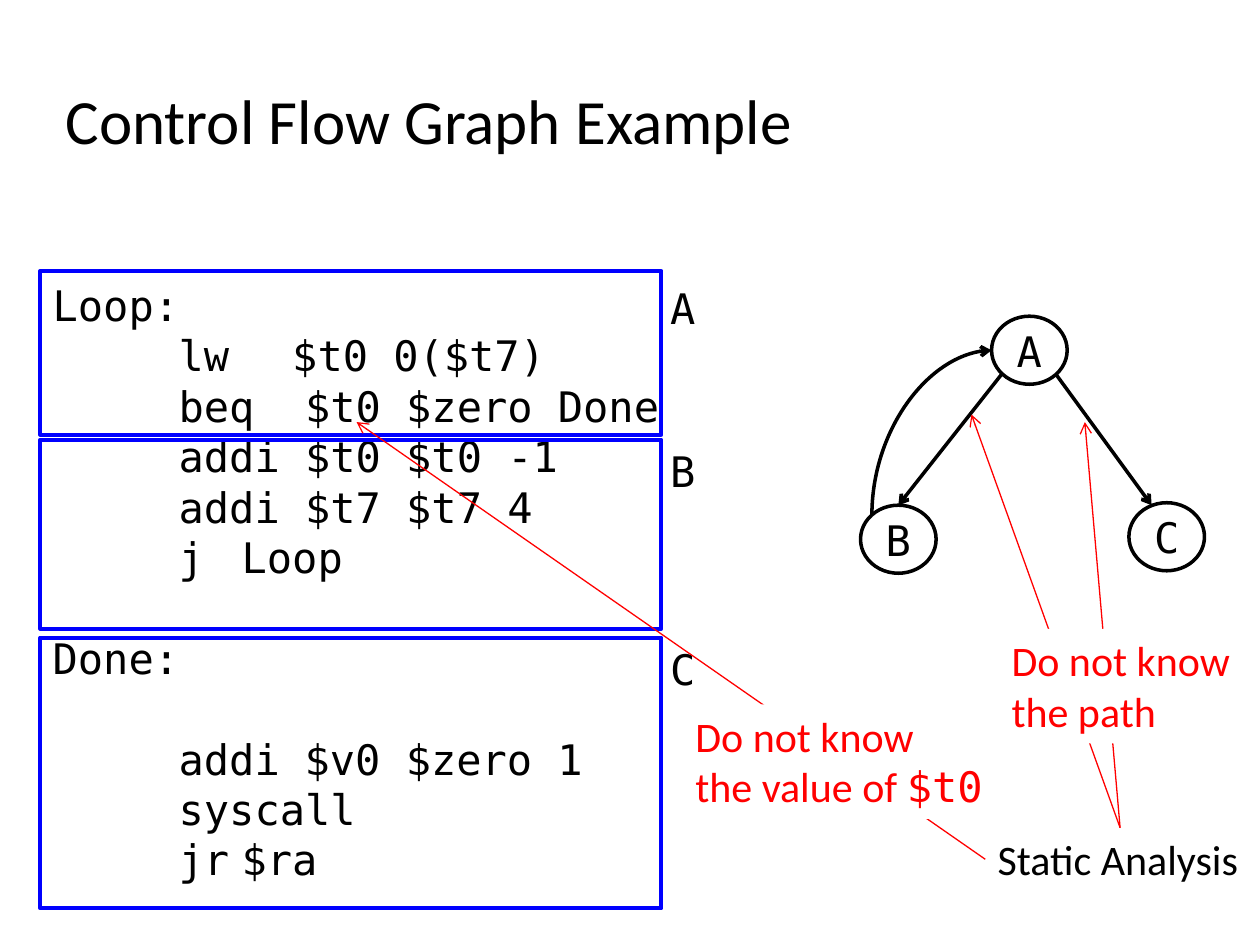
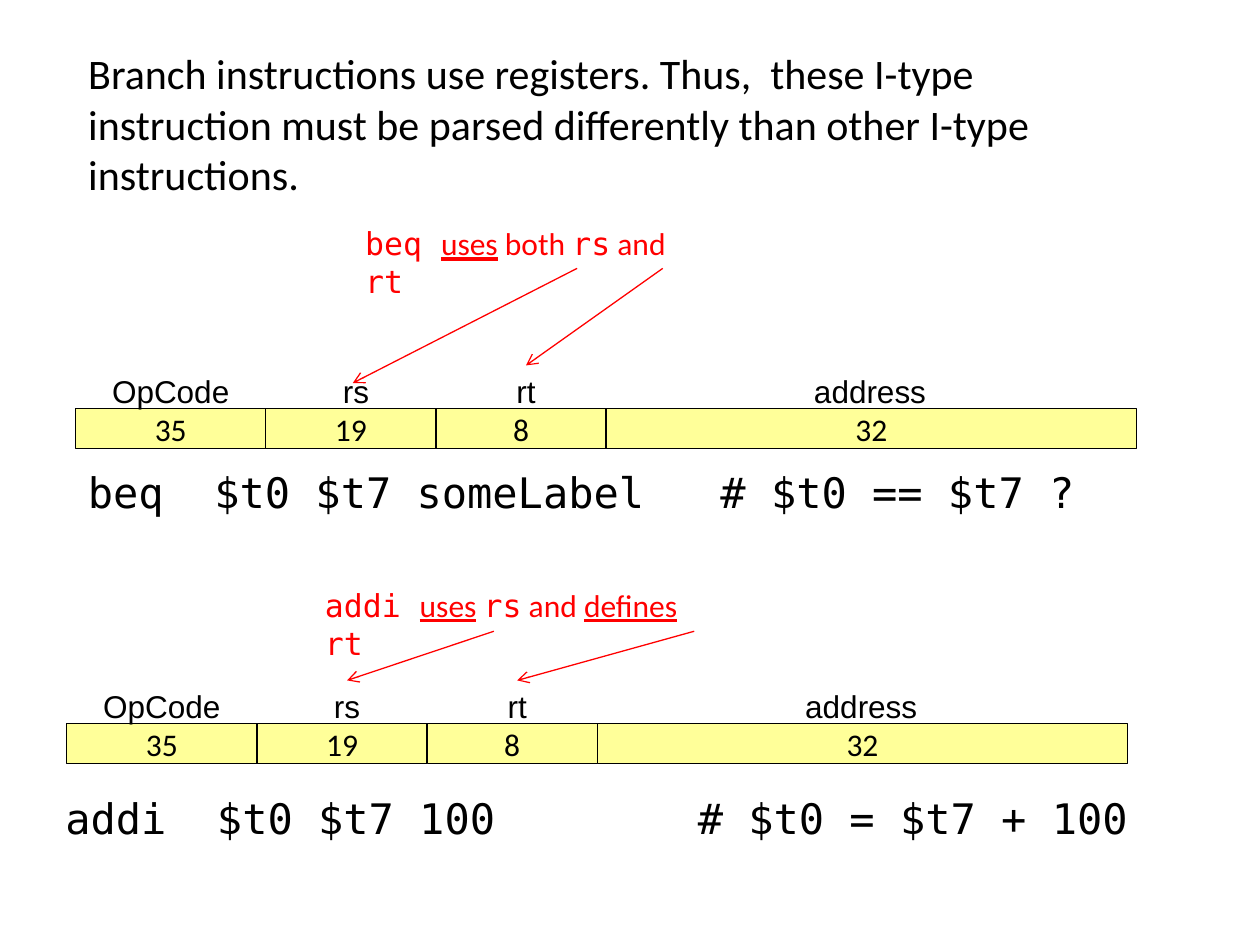
import dataclasses

import lxml.etree
import pptx
import pptx.dml.color
import pptx.enum.shapes
import pptx.enum.text
import pptx.oxml.ns
import pptx.util

Inches = pptx.util.Inches
Pt = pptx.util.Pt
ANCHOR = pptx.enum.text.MSO_ANCHOR
ALIGN = pptx.enum.text.PP_ALIGN
FIT = pptx.enum.text.MSO_AUTO_SIZE
SHAPE = pptx.enum.shapes.MSO_SHAPE
CONNECTOR = pptx.enum.shapes.MSO_CONNECTOR


@dataclasses.dataclass(frozen=True)
class Theme:
    """Colours, fonts and sizes shared by the slides."""

    ink: str = "000000"
    paper: str = "FFFFFF"
    note: str = "FF0000"
    frame: str = "0000FF"
    cell: str = "FFFF99"
    prose: str = "Calibri"
    code: str = "DejaVu Sans Mono"
    label: str = "Arial"
    title_size: int = 36
    body_size: int = 24
    small_size: int = 18
    code_pitch: float = 28.8
    thin: float = 0.75
    edge: float = 2
    border: float = 2.25


THEME = Theme()

PROGRAM = [
    "Loop:",
    "\t\tlw\t  $t0 0($t7)",
    "\t\tbeq  $t0 $zero Done",
    "\t\taddi $t0 $t0 -1",
    "\t\taddi $t7 $t7 4",
    "\t\tj\tLoop",
    "Done:",
    "\t\taddi\t$v0 $zero 1",
    "\t\tsyscall",
    "\t\tjr\t$ra",
]
GAP_BEFORE = (6, 7)
BLOCKS = [("A", 0, 1.3, 0.04), ("B", 1.34, 1.5, 0), ("C", 2.91, 2.15, 0)]
FIELDS = [
    ("OpCode", "35", 1.51, 0.19, 1.13),
    ("rs", "19", 1.35, 2.02, 0.41),
    ("rt", "8", 1.35, 3.4, 0.35),
    ("address", "32", 4.21, 5.76, 1.09),
]


def colour(value):
    """Return the colour for a hexadecimal string."""
    return pptx.dml.color.RGBColor.from_string(value)


def write(frame, lines, size=THEME.body_size, ink=THEME.ink, font=THEME.prose, align=ALIGN.LEFT):
    """Fill a frame with lines, each a string or a list of (text, font, underlined)."""
    for index, line in enumerate(lines):
        para = frame.add_paragraph() if index else frame.paragraphs[0]
        para.alignment = align
        for text, face, underlined in [(line, font, False)] if isinstance(line, str) else line:
            span = para.add_run()
            span.text = text
            span.font.name = face
            span.font.size = Pt(size)
            span.font.underline = underlined or None
            span.font.color.rgb = colour(ink)


def text_box(page, at, lines, wrap=False, fill=None, anchor=ANCHOR.TOP, **style):
    """Add a text box that grows with its text."""
    box = page.shapes.add_textbox(*map(Inches, at))
    frame = box.text_frame
    frame.word_wrap = wrap
    frame.auto_size = FIT.SHAPE_TO_FIT_TEXT
    frame.vertical_anchor = anchor
    if fill:
        box.fill.solid()
        box.fill.fore_color.rgb = colour(fill)
    write(frame, lines, **style)
    return box


def outlined(page, kind, at, line, width, fill=None):
    """Add a preset shape with an outline and an optional fill."""
    shape = page.shapes.add_shape(kind, *map(Inches, at))
    shape.shadow.inherit = False
    if fill:
        shape.fill.solid()
        shape.fill.fore_color.rgb = colour(fill)
    else:
        shape.fill.background()
    shape.line.color.rgb = colour(line)
    shape.line.width = Pt(width)
    return shape


def centred(shape, text, **style):
    """Write one centred line inside a shape."""
    frame = shape.text_frame
    frame.margin_left = frame.margin_right = frame.margin_top = frame.margin_bottom = 0
    frame.word_wrap = False
    frame.vertical_anchor = ANCHOR.MIDDLE
    write(frame, [text], align=ALIGN.CENTER, **style)


def arrow(page, start, end, ink=THEME.note, width=THEME.thin, kind=CONNECTOR.STRAIGHT, tip="tailEnd"):
    """Add a connector with an open arrowhead at one end."""
    line = page.shapes.add_connector(kind, *map(Inches, (*start, *end)))
    line.line.color.rgb = colour(ink)
    line.line.width = Pt(width)
    qn = pptx.oxml.ns.qn
    properties = line._element.spPr
    lxml.etree.SubElement(properties.find(qn("a:ln")), qn(f"a:{tip}"), type="arrow")
    lxml.etree.SubElement(properties, qn("a:effectLst"))
    return line


def set_tabs(para, stops):
    """Give a paragraph left tab stops, in inches."""
    qn = pptx.oxml.ns.qn
    tabs = lxml.etree.SubElement(para._p.get_or_add_pPr(), qn("a:tabLst"))
    for stop in stops:
        lxml.etree.SubElement(tabs, qn("a:tab"), pos=str(Inches(stop)), algn="l")


def titled_page(deck, at, text, size):
    """Add a title-only slide with its title placed and formatted."""
    page = deck.slides.add_slide(deck.slide_layouts[5])
    title = page.shapes.title
    title.left, title.top, title.width, title.height = map(Inches, at)
    frame = title.text_frame
    frame.auto_size = FIT.NONE
    frame.word_wrap = True
    frame.vertical_anchor = ANCHOR.TOP
    write(frame, [text], size=size)
    return page


def program_listing(page, left, top):
    """Place the program and the frames of its basic blocks."""
    listing = text_box(page, (left, top + 0.02, 5.66, 5.36), PROGRAM, wrap=True, font=THEME.code)
    for index, para in enumerate(listing.text_frame.paragraphs):
        para.line_spacing = Pt(THEME.code_pitch)
        if index in GAP_BEFORE:
            para.space_before = Pt(THEME.code_pitch)
        set_tabs(para, (0.5, 1, 1.5, 2))
    for name, offset, height, drop in BLOCKS:
        outlined(page, SHAPE.RECTANGLE, (left, top + offset, 4.93, height), THEME.frame, THEME.border)
        text_box(page, (left + 4.9, top + offset + drop, 0.4, 0.5), [name], font=THEME.code)


def flow_graph(page, left, top):
    """Draw the control flow graph of the three blocks."""
    edge = {"ink": THEME.ink, "width": THEME.edge}
    for start, end in [((1.12, 0.46), (0.3, 1.5)), ((1.55, 0.46), (2.31, 1.5))]:
        arrow(page, (left + start[0], top + start[1]), (left + end[0], top + end[1]), **edge)
    loop = arrow(page, (left + 1.04, top + 0.27), (left + 0.09, top + 1.58),
                 kind=CONNECTOR.CURVE, tip="headEnd", **edge)
    loop._element.spPr.find(pptx.oxml.ns.qn("a:prstGeom")).set("prst", "curvedConnector2")
    for name, x, y in [("B", 0, 1.5), ("A", 1.04, 0), ("C", 2.13, 1.48)]:
        node = outlined(page, SHAPE.OVAL, (left + x, top + y, 0.6, 0.54),
                        THEME.ink, THEME.edge, THEME.paper)
        centred(node, name, font=THEME.code)


def analysis_notes(page, left, top):
    """Place the static analysis label, its notes and their arrows."""
    source = text_box(page, (left, top, 2.14, 0.5), ["Static Analysis"])
    for site, x, y in [(1, -4.99, -3.22), (0, 0.79, -3.22), (0, -0.11, -3.28)]:
        pointer = arrow(page, (left, top), (left + x, top + y))
        pointer.begin_connect(source, site)
    value = [("the value of ", THEME.prose, False), ("$t0", THEME.code, False)]
    note = {"fill": THEME.paper, "ink": THEME.note}
    text_box(page, (left - 2.4, top - 0.98, 2.51, 0.91), ["Do not know", value], **note)
    text_box(page, (left + 0.11, top - 1.58, 1.96, 0.91), ["Do not know", "the path"], **note)


def instruction_format(page, left, top):
    """Draw the field cells and return the field labels by name."""
    labels = {}
    x = left
    for name, value, width, label_left, label_width in FIELDS:
        cell = outlined(page, SHAPE.RECTANGLE, (x, top, width, 0.32),
                        THEME.ink, THEME.thin, THEME.cell)
        centred(cell, value, size=THEME.small_size)
        labels[name] = text_box(page, (left + label_left, top - 0.34, label_width, 0.4), [name],
                                anchor=ANCHOR.MIDDLE, size=THEME.small_size,
                                font=THEME.label, align=ALIGN.CENTER)
        x += width
    return labels


def code_line(page, left, top, instruction, comment):
    """Place an instruction with its comment at a tab stop."""
    box = text_box(page, (left, top, 8.73, 0.5), [f"{instruction}\t{comment}"],
                   wrap=True, font=THEME.code)
    set_tabs(box.text_frame.paragraphs[0], (5.02,))


def usage_note(page, at, spans):
    """Place a red note on how registers are used."""
    text_box(page, at, [spans], size=THEME.small_size, ink=THEME.note)


def flow_graph_slide(deck):
    """Build the control flow graph slide."""
    page = titled_page(deck, (0.42, 0.6, 8.75, 0.71), "Control Flow Graph Example", THEME.title_size)
    program_listing(page, 0.32, 2.15)
    flow_graph(page, 6.83, 2.51)
    analysis_notes(page, 7.82, 6.57)


def branch_slide(deck):
    """Build the slide on branch and immediate instructions."""
    page = titled_page(
        deck, (0.6, 0.33, 8.73, 2.12),
        "Branch instructions use registers. Thus,  these I-type instruction must be "
        "parsed differently than other I-type instructions.", THEME.body_size)
    code, prose = THEME.code, THEME.prose

    branch = instruction_format(page, 0.6, 3.24)
    code_line(page, 0.6, 3.65, "beq  $t0 $t7 someLabel", "# $t0 == $t7 ?")
    usage_note(page, (2.8, 1.73, 2.87, 0.4), [
        ("beq ", code, False), ("uses", prose, True), (" both ", prose, False),
        ("rs", code, False), (" and ", prose, False), ("rt", code, False)])
    arrow(page, (4.58, 2.13), (2.8, 3.04))
    arrow(page, (5.26, 2.13), (4.17, 2.9)).end_connect(branch["rt"], 0)

    immediate = instruction_format(page, 0.53, 5.74)
    code_line(page, 0.42, 6.24, "addi  $t0 $t7 100", "# $t0 = $t7 + 100")
    usage_note(page, (2.48, 4.6, 3.29, 0.4), [
        ("addi ", code, False), ("uses", prose, True), (" ", prose, False), ("rs", code, False),
        (" and ", prose, False), ("defines", prose, True), (" ", prose, False), ("rt", code, False)])
    for name, x in [("rs", 3.92), ("rt", 5.51)]:
        arrow(page, (x, 5.01), (x, 5.4)).end_connect(immediate[name], 0)


def main():
    """Build and save the deck."""
    deck = pptx.Presentation()
    deck.slide_width, deck.slide_height = Inches(10), Inches(7.5)
    flow_graph_slide(deck)
    branch_slide(deck)
    deck.save("out.pptx")


if __name__ == "__main__":
    main()
